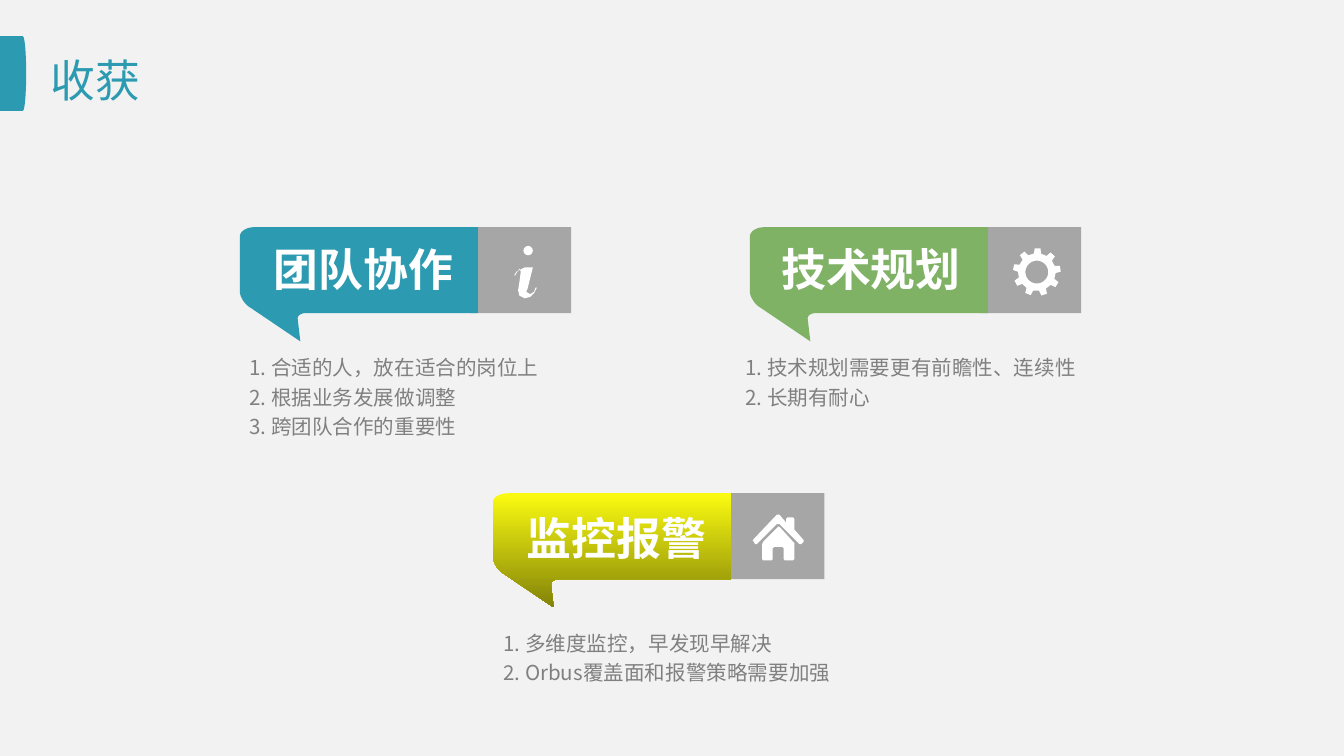
import dataclasses
import math

import pptx
import pptx.dml.color
import pptx.enum.shapes
import pptx.enum.text
import pptx.util

COLUMNS, ROWS = 100, 56.25  # square cells over the whole slide
CELL = pptx.util.Inches(0.1)
SHAPES = pptx.enum.shapes.MSO_SHAPE
ALIGN = pptx.enum.text.PP_ALIGN


@dataclasses.dataclass(frozen=True)
class Theme:
    font: str = "Noto Sans CJK SC"
    backdrop: str = "F2F2F2"
    teal: str = "2C9AB1"
    green: str = "7FB265"
    yellow: tuple = ("FBFB11", "838309")
    tile: str = "A6A6A6"
    white: str = "FFFFFF"
    body: str = "808080"
    heading_size: int = 24
    body_size: int = 11


THEME = Theme()

INFO_STEM = [
    (22, 4.5), (21.9, 4.8), (21.6, 5), (21.3, 4.8), (21.4, 4.6), (21.5, 4.2),
    (21.8, 3), (21.2, 3), (20.6, 3.3), (20.4, 3.6), (20.5, 3.6), (20.6, 3.4),
    (20.8, 3.1), (20.9, 3.3), (20.8, 4.1), (20.7, 4.7), (20.8, 5.1),
    (21.2, 5.3), (21.6, 5.2), (21.9, 4.9), (22.1, 4.5),
]
HOUSE_WALLS = [
    (21.2, 2.5), (20.1, 3.6), (20, 3.8), (20, 4.9), (20.1, 5), (20.7, 5),
    (20.8, 4.9), (20.8, 4.1), (20.9, 4), (21.5, 4), (21.6, 4.1), (21.6, 4.9),
    (21.7, 5), (22.3, 5), (22.4, 4.9), (22.4, 3.7), (22.3, 3.6), (21.3, 2.5),
]
HOUSE_ROOF = [
    (23.1, 3.5), (22.4, 2.7), (22.4, 1.9), (22.3, 1.8), (21.9, 1.8),
    (21.8, 1.9), (21.8, 2.2), (21.3, 1.6), (21.1, 1.6), (19.3, 3.5),
    (19.5, 3.8), (19.6, 3.8), (21.1, 2.3), (21.3, 2.3), (22.8, 3.8),
    (22.9, 3.8), (23.1, 3.6),
]


def cells(*counts):
    return [pptx.util.Emu(round(count * CELL)) for count in counts]


def rgb(value):
    return pptx.dml.color.RGBColor.from_string(value)


def paint(shape, color):
    """Fill with one colour, or with a top-to-bottom pair of colours."""
    shape.shadow.inherit = False
    shape.line.fill.background()
    if isinstance(color, tuple):
        shape.fill.gradient()
        shape.fill.gradient_angle = 270
        for stop, value in zip(shape.fill.gradient_stops, color):
            stop.color.rgb = rgb(value)
    else:
        shape.fill.solid()
        shape.fill.fore_color.rgb = rgb(color)


def add_block(shapes, preset, frame, color):
    paint(shapes.add_shape(preset, *cells(*frame)), color)


def add_outline(shapes, left, top, contours, color):
    """Draw closed contours, given in cells from left and top, as one shape."""
    placed = [[cells(left + x, top + y) for x, y in contour] for contour in contours]
    builder = shapes.build_freeform(*placed[0][0], scale=1.0)
    for index, (start, *rest) in enumerate(placed):
        if index:
            builder.move_to(*start)
        builder.add_line_segments(rest, close=True)
    paint(builder.convert_to_shape(), color)


def add_text(shapes, frame, lines, size, color, bold=None):
    box = shapes.add_textbox(*cells(*frame))
    text_frame = box.text_frame
    text_frame.word_wrap = True
    text_frame.text = "\n".join(lines)
    for para in text_frame.paragraphs:
        for span in para.runs:
            span.font.name = THEME.font
            span.font.size = pptx.util.Pt(size)
            span.font.bold = bold
            span.font.color.rgb = rgb(color)
    return text_frame


def curve(*anchors, steps=8):
    """Points along a cubic Bézier curve."""
    weights = (1, 3, 3, 1)
    points = []
    for step in range(steps + 1):
        t = step / steps
        shares = [w * t**i * (1 - t) ** (3 - i) for i, w in enumerate(weights)]
        points.append(tuple(sum(s * a[axis] for s, a in zip(shares, anchors))
                            for axis in (0, 1)))
    return points


def ring(center, radius, degrees):
    x, y = center
    return [(x + radius * math.sin(math.radians(d)), y - radius * math.cos(math.radians(d)))
            for d in degrees]


def bubble_contour():
    return [
        *curve((1.1, 0), (0.5, 0), (0, 0.3), (0, 0.7)),
        *curve((0, 4.8), (0, 5.2), (0.4, 5.8), (0.8, 6)),
        (4.5, 8.5),
        *curve((4.3, 6.8), (4.3, 6.6), (4.5, 6.4), (4.9, 6.4)),
        (17.7, 6.4), (17.7, 0),
    ]


def add_info_icon(shapes, left, top):
    add_block(shapes, SHAPES.OVAL, (left + 21.1, top + 1.4, 0.7, 0.7), THEME.white)
    add_outline(shapes, left, top, [INFO_STEM], THEME.white)


def add_gear_icon(shapes, left, top):
    center, teeth = (21.35, 3.35), 9
    rim = []
    for tooth in range(teeth):
        middle = 2 + tooth * 360 / teeth
        for radius, offset in ((1.4, -11), (1.78, -7), (1.78, 7), (1.4, 11)):
            rim += ring(center, radius, [middle + offset])
    hole = ring(center, 0.85, range(360, 0, -10))
    add_outline(shapes, left, top, [rim, hole], THEME.white)


def add_house_icon(shapes, left, top):
    add_outline(shapes, left, top, [HOUSE_WALLS, HOUSE_ROOF], THEME.white)


def add_banner(page, left, top, label, inset, color, add_icon):
    """Group a speech bubble, its icon tile and a label inset from the corner."""
    shapes = page.shapes.add_group_shape().shapes
    add_block(shapes, SHAPES.RECTANGLE, (left + 17.15, top, 7.5, 6.4), THEME.tile)
    add_outline(shapes, left, top, [bubble_contour()], color)
    add_icon(shapes, left, top)
    text_frame = add_text(shapes, (left + inset[0], top + inset[1], 17.2, 5), [label],
                          THEME.heading_size, THEME.white, bold=True)
    text_frame.auto_size = pptx.enum.text.MSO_AUTO_SIZE.SHAPE_TO_FIT_TEXT


def add_notes_list(page, left, top, lines):
    frame = (left, top, 29.3, 0.8 + 2.2 * len(lines))
    text_frame = add_text(page.shapes, frame, lines, THEME.body_size, THEME.body)
    text_frame.auto_size = pptx.enum.text.MSO_AUTO_SIZE.SHAPE_TO_FIT_TEXT
    text_frame.margin_left, text_frame.margin_right = cells(0.7, 0.7)
    text_frame.margin_top, text_frame.margin_bottom = cells(0.4, 0.4)
    for para in text_frame.paragraphs:
        para.alignment = ALIGN.JUSTIFY
        para.line_spacing = 1.2


def add_title(page, title):
    add_block(page.shapes, SHAPES.RECTANGLE, (0, 2.7, 1.7, 5.55), THEME.teal)
    add_block(page.shapes, SHAPES.OVAL, (1.45, 2.7, 0.5, 5.55), THEME.teal)
    text_frame = add_text(page.shapes, (2.8, 2.9, 90, 6), [title],
                          THEME.heading_size, THEME.teal)
    text_frame.vertical_anchor = pptx.enum.text.MSO_ANCHOR.MIDDLE


def main():
    deck = pptx.Presentation()
    deck.slide_width, deck.slide_height = cells(COLUMNS, ROWS)
    page = deck.slides.add_slide(deck.slide_layouts[6])
    page.background.fill.solid()
    page.background.fill.fore_color.rgb = rgb(THEME.backdrop)

    add_title(page, "收获")
    add_banner(page, 17.85, 16.9, "团队协作", (1.55, 0.6), THEME.teal, add_info_icon)
    add_banner(page, 55.8, 16.9, "技术规划", (1.35, 0.6), THEME.green, add_gear_icon)
    add_banner(page, 36.7, 36.7, "监控报警", (1.5, 0.8), THEME.yellow, add_house_icon)

    add_notes_list(page, 17.85, 25.65, [
        "1. 合适的人，放在适合的岗位上", "2. 根据业务发展做调整", "3. 跨团队合作的重要性"])
    add_notes_list(page, 36.75, 46.15, [
        "1. 多维度监控，早发现早解决", "2. Orbus覆盖面和报警策略需要加强"])
    add_notes_list(page, 54.75, 25.65, [
        "1. 技术规划需要更有前瞻性、连续性", "2. 长期有耐心"])
    deck.save("out.pptx")


if __name__ == "__main__":
    main()
